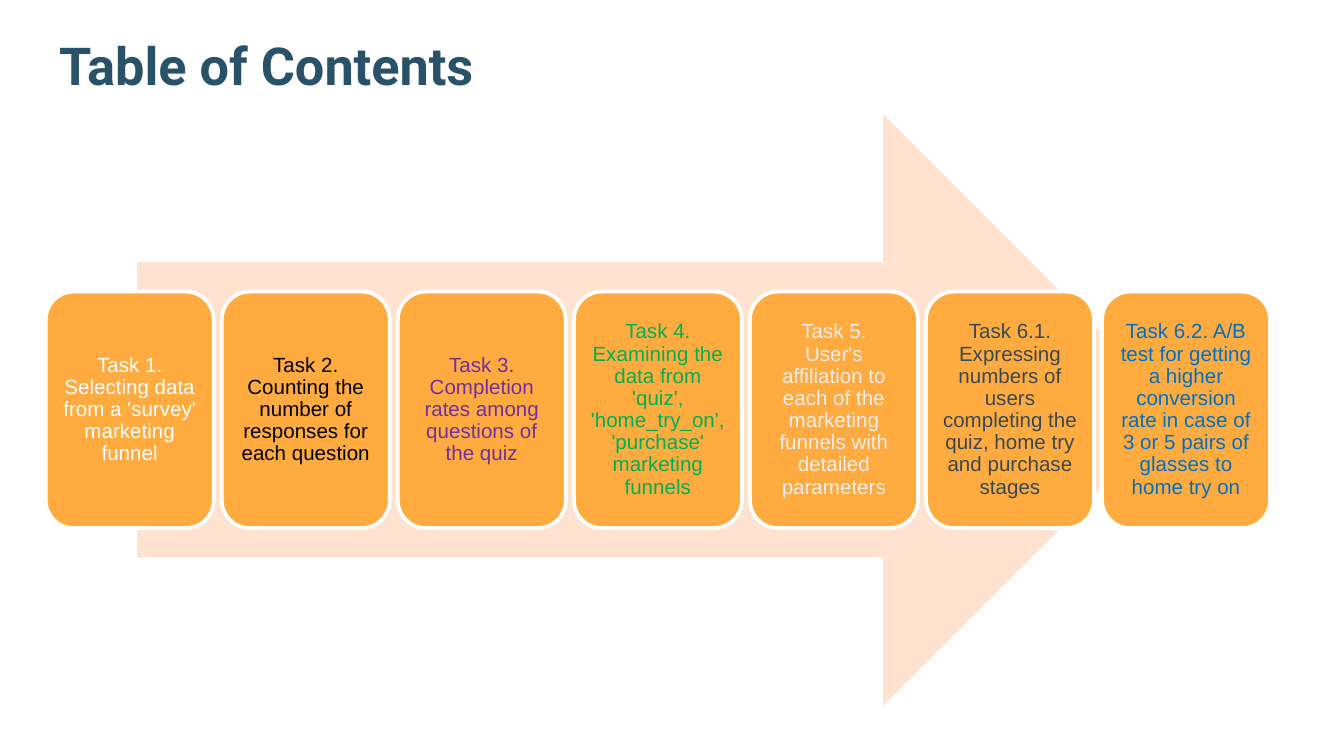
"""Build a table of contents slide: seven task cards on a wide arrow."""
from dataclasses import dataclass

from pptx import Presentation
from pptx import util as u
from pptx.dml.color import RGBColor
from pptx.enum import shapes, text

PX = 4572


@dataclass(frozen=True)
class Theme:
    title: str = "295269"
    arrow: str = "FFE2CF"
    card: str = "FFAB40"
    edge: str = "FFFFFF"
    head_font: str = "Roboto"
    body_font: str = "Arial"
    head_size: int = 28
    body_size: int = 11


class Deck:
    def __init__(self, theme, wide, high):
        self.theme = theme
        self.prs = Presentation()
        self.prs.slide_width, self.prs.slide_height = wide * PX, high * PX
        self.slide = self.prs.slides.add_slide(self.prs.slide_layouts[5])

    def style(self, para, name, size, color, bold=False):
        font = para.font
        font.name, font.size, font.bold = name, u.Pt(size), bold
        font.color.rgb = RGBColor.from_string(color)

    def inset(self, frame, gap):
        frame.margin_left = frame.margin_right = gap * PX
        frame.margin_top = frame.margin_bottom = gap * PX
        frame.word_wrap = True

    def title(self, words, x, y, w, h):
        box = self.slide.shapes.title
        box.left, box.top, box.width, box.height = (n * PX for n in (x, y, w, h))
        frame = box.text_frame
        frame.text = words
        frame.auto_size = text.MSO_AUTO_SIZE.NONE
        frame.vertical_anchor = text.MSO_ANCHOR.TOP
        self.inset(frame, 20)
        para = frame.paragraphs[0]
        para.alignment = text.PP_ALIGN.LEFT
        self.style(para, self.theme.head_font, self.theme.head_size,
                   self.theme.title, True)

    def shape(self, kind, fill, x, y, w, h):
        item = self.slide.shapes.add_shape(kind, *(n * PX for n in (x, y, w, h)))
        item.shadow.inherit = False
        item.fill.solid()
        item.fill.fore_color.rgb = RGBColor.from_string(fill)
        item.line.fill.background()
        return item

    def arrow(self, x, y, w, h):
        self.shape(shapes.MSO_SHAPE.RIGHT_ARROW, self.theme.arrow, x, y, w, h)

    def card(self, words, color, x, y, w, h):
        item = self.shape(shapes.MSO_SHAPE.ROUNDED_RECTANGLE, self.theme.card,
                          x, y, w, h)
        item.line.color.rgb = RGBColor.from_string(self.theme.edge)
        item.line.width = u.Pt(2)
        frame = item.text_frame
        frame.text = words
        frame.vertical_anchor = text.MSO_ANCHOR.MIDDLE
        self.inset(frame, 10)
        para = frame.paragraphs[0]
        para.alignment = text.PP_ALIGN.CENTER
        para.line_spacing = 0.9
        self.style(para, self.theme.body_font, self.theme.body_size, color)


TASKS = [
    ("Task 1. Selecting data from a 'survey' marketing funnel", "FFFFFF"),
    ("Task 2. Counting the number of responses for each question", "000000"),
    ("Task 3. Completion rates among questions of the quiz", "7030A0"),
    ("Task 4. Examining the data from 'quiz', 'home_try_on', 'purchase' "
     "marketing funnels", "00B050"),
    ("Task 5.\vUser's affiliation to each of the marketing funnels with "
     "detailed parameters", "EEEEEE"),
    ("Task 6.1. Expressing numbers of users completing the quiz, home try "
     "and purchase stages", "3A4950"),
    ("Task 6.2. A/B test for getting a higher conversion rate in case of "
     "3 or 5 pairs of glasses to home try on", "0070C0"),
]


def main():
    deck = Deck(Theme(), 2000, 1125)
    deck.title("Table of Contents", 68, 30, 1864, 126)
    deck.arrow(204, 170, 1550, 880)
    wide, gap = 250, 12
    for i, (words, color) in enumerate(TASKS):
        deck.card(words, color, 68 + i * (wide + gap), 434, wide, 352)
    deck.prs.save("out.pptx")


if __name__ == "__main__":
    main()
